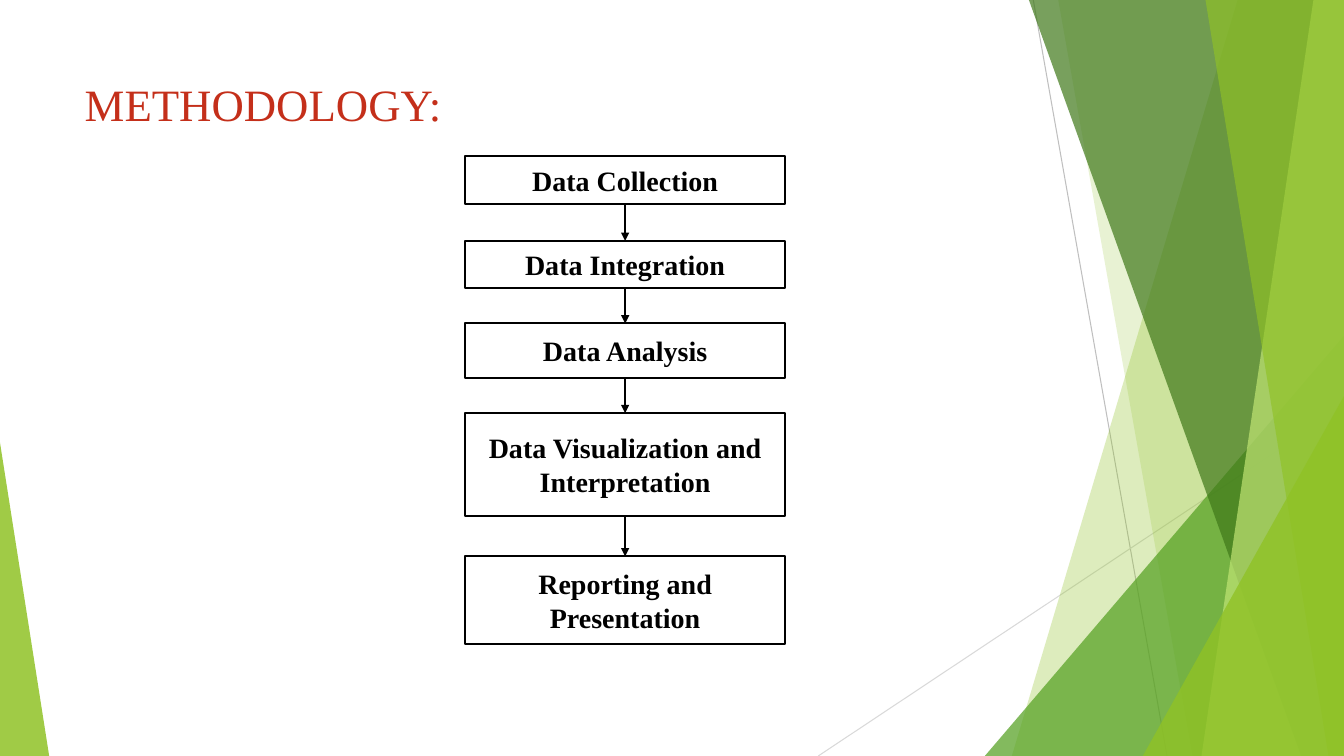
from dataclasses import dataclass
from itertools import pairwise

from lxml.etree import SubElement
from pptx import Presentation
from pptx.dml.color import RGBColor
from pptx.enum.shapes import MSO_CONNECTOR, MSO_SHAPE
from pptx.enum.text import MSO_ANCHOR, PP_ALIGN
from pptx.oxml.ns import qn
from pptx.util import Cm, Pt

WIDTH, HEIGHT = 33.87, 19.05
FONT = "Times New Roman"
LIME, LEAF, PINE, PALE = "90C226", "54A021", "3F7819", "C0E474"
BLACK, WHITE, RED = "000000", "FFFFFF", "C42F1A"
BOX_LEFT, BOX_WIDTH = 11.73, 8.05


@dataclass
class Ray:
    start: tuple[float, float]
    end: tuple[float, float]
    tint: str


@dataclass
class Shard:
    """Band from a slanted left edge to the right side of the slide."""
    top_x: float
    base_x: float
    tint: str
    cover: int


@dataclass
class Wedge:
    """Right triangle standing on the bottom of the slide."""
    left: float
    top: float
    width: float
    apex: float
    tint: str
    cover: int


@dataclass
class Step:
    text: str
    top: float
    height: float


RAYS = [
    Ray((26.04, 0), (29.41, HEIGHT), "BFBFBF"),
    Ray((WIDTH, 10.24), (20.62, HEIGHT), "D9D9D9"),
]
FACETS = [
    Shard(31.19, 25.5, LIME, 30),
    Shard(26.67, 30.05, LIME, 20),
    Wedge(24.82, 8.46, 9.05, 1, LEAF, 72),
    Shard(25.93, 32.79, PINE, 70),
    Shard(33.1, 30.28, PALE, 70),
    Shard(30.38, 33.48, LIME, 65),
    Wedge(28.8, 9.98, 5.07, 1, LIME, 80),
    Wedge(0, 11.15, 1.24, 0, LIME, 85),
]
STEPS = [
    Step("Data Collection", 3.94, 1.2),
    Step("Data Integration", 6.07, 1.2),
    Step("Data Analysis", 8.15, 1.37),
    Step("Data Visualization and Interpretation", 10.41, 2.59),
    Step("Reporting and Presentation", 14.02, 2.21),
]


def paint(target, tint: str) -> None:
    """Give a fill a solid colour."""
    target.solid()
    target.fore_color.rgb = RGBColor.from_string(tint)


def draw_line(shapes, start, end, tint: str, weight: float, arrow: bool = False) -> None:
    line = shapes.add_connector(MSO_CONNECTOR.STRAIGHT, *map(Cm, (*start, *end)))
    paint(line.line.fill, tint)
    line.line.width = Pt(weight)
    props = line.element.spPr
    if arrow:
        SubElement(props.find(qn("a:ln")), qn("a:tailEnd"), type="triangle")
    SubElement(props, qn("a:effectLst"))


def draw_facet(shapes, facet: Shard | Wedge) -> None:
    if isinstance(facet, Shard):
        pen = shapes.build_freeform(Cm(facet.top_x), 0)
        corners = [(WIDTH, 0), (WIDTH, HEIGHT), (facet.base_x, HEIGHT)]
        pen.add_line_segments([(Cm(x), Cm(y)) for x, y in corners], close=True)
        shape = pen.convert_to_shape()
    else:
        shape = shapes.add_shape(
            MSO_SHAPE.ISOSCELES_TRIANGLE, Cm(facet.left), Cm(facet.top),
            Cm(facet.width), Cm(HEIGHT - facet.top))
        shape.adjustments[0] = facet.apex
    paint(shape.fill, facet.tint)
    shade = shape.element.spPr.find(".//" + qn("a:srgbClr"))
    SubElement(shade, qn("a:alpha"), val=str(facet.cover * 1000))
    shape.line.fill.background()
    shape.shadow.inherit = False


def write(shape, text: str, size: int, tint: str, align: PP_ALIGN, bold: bool) -> None:
    frame = shape.text_frame
    frame.word_wrap = True
    frame.vertical_anchor = MSO_ANCHOR.MIDDLE
    line = frame.paragraphs[0]
    line.text = text
    line.alignment = align
    line.font.name = FONT
    line.font.size = Pt(size)
    line.font.bold = bold
    line.font.color.rgb = RGBColor.from_string(tint)


def draw_step(shapes, step: Step) -> None:
    box = shapes.add_shape(MSO_SHAPE.RECTANGLE, Cm(BOX_LEFT), Cm(step.top),
                           Cm(BOX_WIDTH), Cm(step.height))
    paint(box.fill, WHITE)
    paint(box.line.fill, BLACK)
    box.line.width = Pt(1.5)
    box.shadow.inherit = False
    write(box, step.text, 20, BLACK, PP_ALIGN.CENTER, True)


def main() -> None:
    deck = Presentation()
    deck.slide_width, deck.slide_height = Cm(WIDTH), Cm(HEIGHT)
    slide = deck.slides.add_slide(deck.slide_layouts[5])
    shapes = slide.shapes
    paint(slide.background.fill, WHITE)

    for ray in RAYS:
        draw_line(shapes, ray.start, ray.end, ray.tint, 0.75)
    for facet in FACETS:
        draw_facet(shapes, facet)

    title = shapes.title
    title.left, title.top = Cm(1.88), Cm(1.7)
    title.width, title.height = Cm(23.88), Cm(1.8)
    write(title, "METHODOLOGY:", 32, RED, PP_ALIGN.LEFT, False)

    for step in STEPS:
        draw_step(shapes, step)
    middle = BOX_LEFT + BOX_WIDTH / 2
    for step, after in pairwise(STEPS):
        draw_line(shapes, (middle, step.top + step.height), (middle, after.top),
                  BLACK, 1, arrow=True)

    deck.save("out.pptx")


if __name__ == "__main__":
    main()
